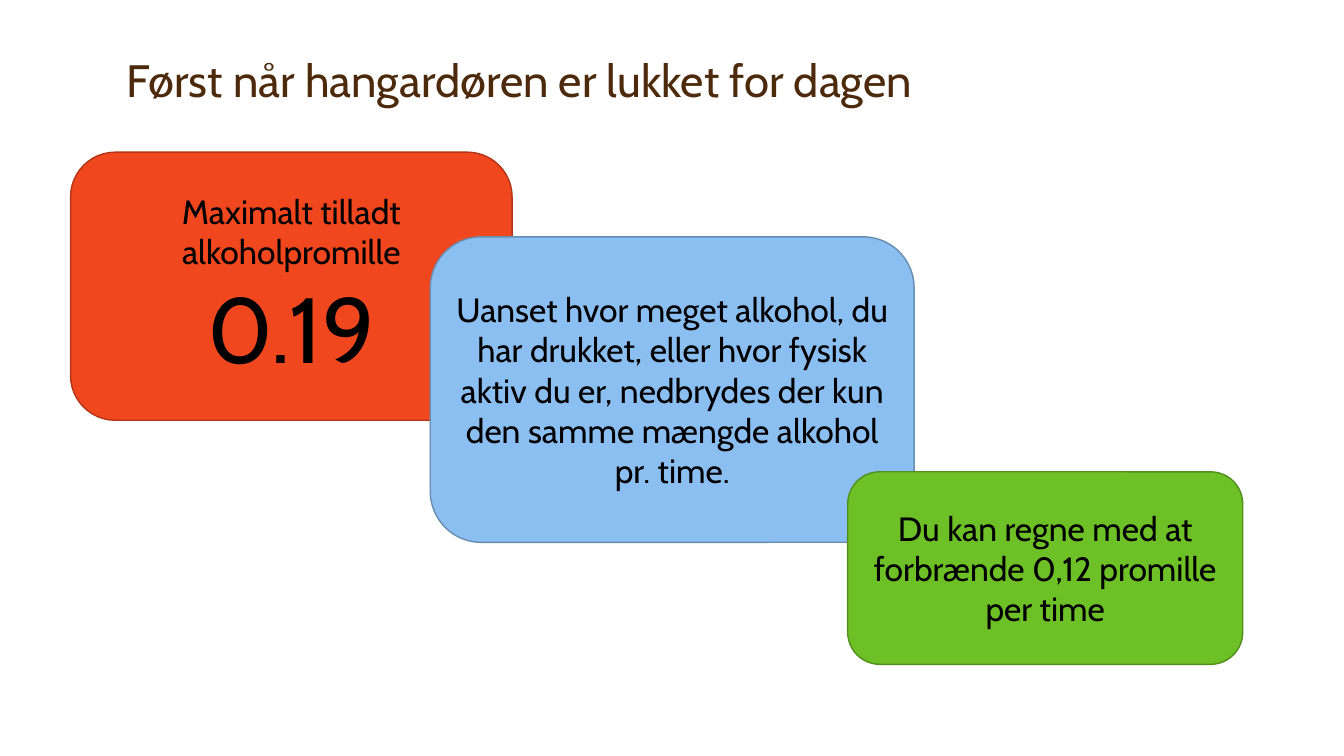
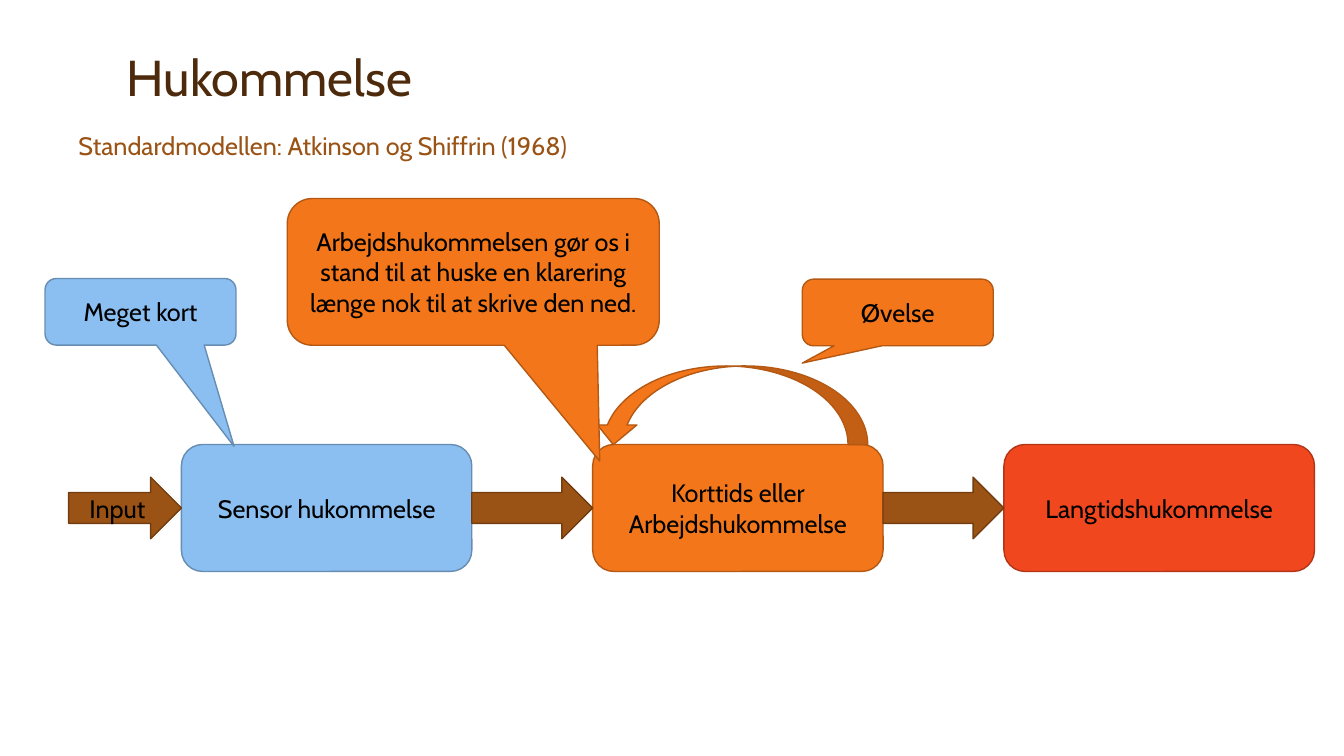
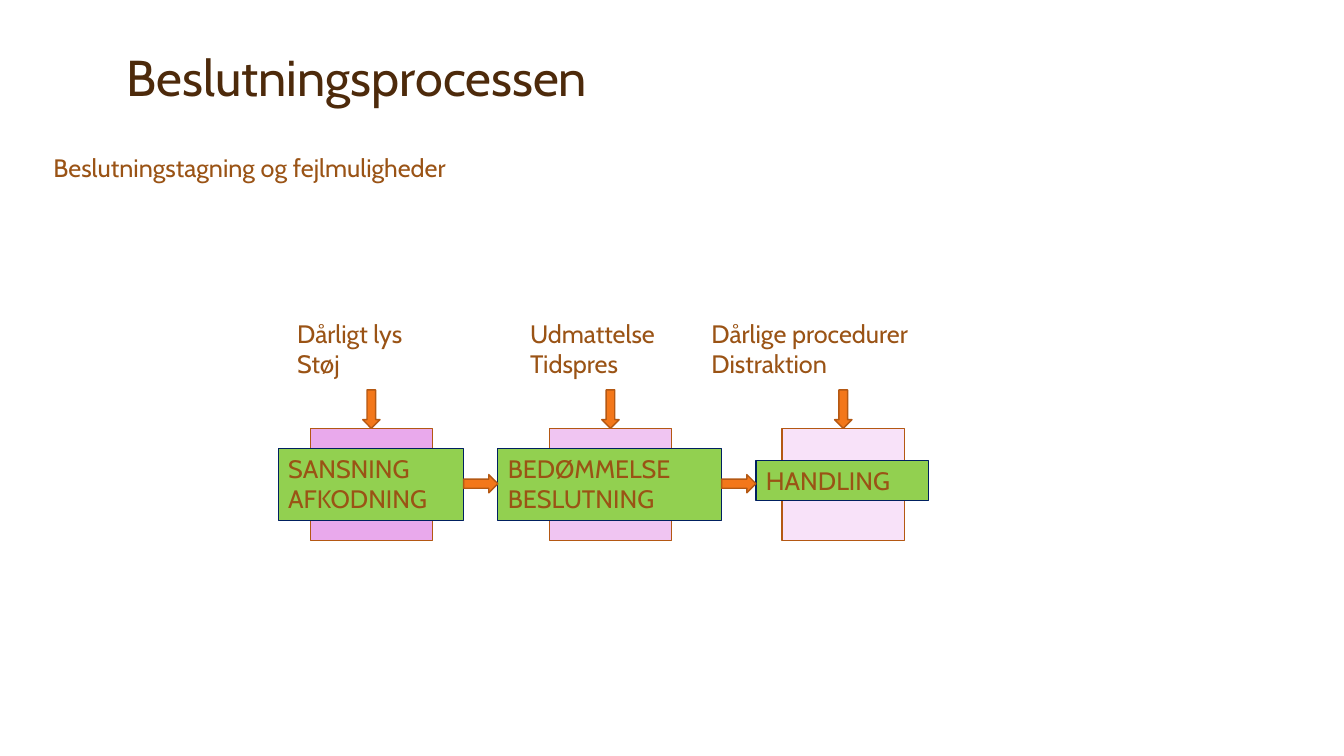
"""Build three slides on alcohol, memory and decision making."""
from itertools import pairwise

from pptx import Presentation
from pptx.dml.color import RGBColor
from pptx.enum.shapes import MSO_SHAPE
from pptx.enum.text import MSO_ANCHOR, PP_ALIGN
from pptx.util import Pt

FONT = "Cabin"
COLORS = {
    "title": "4D2A0B", "brown": "9A5315", "brown_line": "723D10",
    "red": "F1471F", "red_line": "B23517",
    "blue": "8BBEF1", "blue_line": "678DB2",
    "green": "6DC025", "green_line": "518E1B",
    "orange": "F3771A", "orange_line": "B45813",
    "lime": "92D050", "navy": "002060", "black": "000000",
    "pink_dark": "E9A9EC", "pink": "F0C5F2", "pink_light": "F8E2F9",
}

FACTS = [
    ("red", (50.4, 108.7, 315.4, 191.5),
     [("Maximalt tilladt alkoholpromille", 24), ("0.19", 66)]),
    ("blue", (307.4, 169.2, 345.6, 218.2),
     [("Uanset hvor meget alkohol, du har drukket, eller hvor fysisk aktiv du er, "
       "nedbrydes der kun den samme mængde alkohol pr. time.", 24)]),
    ("green", (605.5, 337, 282.2, 137.5),
     [("Du kan regne med at forbrænde 0,12 promille per time", 24)]),
]

STAGES = [
    ("Sensor hukommelse", "blue", 207.4),
    ("Korttids eller Arbejdshukommelse", "orange", 207.4),
    ("Langtidshukommelse", "red", 221.8),
]
STAGE_LEFT, STAGE_TOP, STAGE_HEIGHT, STAGE_PITCH = 129.6, 317.5, 90.7, 293.75
INPUT_LEFT, FLOW_HEIGHT = 49, 44
LOOP = (424, 261.4, 195.8, 56.2)
CALLOUTS = [
    ("Øvelse", "orange", (573.1, 199.4, 136.4, 47.6), (-0.5, 0.76, 0.17)),
    ("Meget kort", "blue", (32.2, 198.9, 136.4, 47.6), (0.49, 2.02, 0.17)),
    ("Arbejdshukommelsen gør os i stand til at huske en klarering længe nok "
     "til at skrive den ned.", "orange", (205.2, 141.8, 265.7, 104.8),
     (0.34, 1.29, 0.17)),
]

STEPS = [
    {"name": ["SANSNING", "AFKODNING"], "label": (198.7, 320.4, 132.5, 51.1),
     "block": 221.6, "fill": "pink_dark",
     "causes": ["Dårligt lys", "Støj"], "causes_at": (205.2, 118)},
    {"name": ["BEDØMMELSE", "BESLUTNING"], "label": (355.7, 320.4, 159.8, 51.1),
     "block": 392.4, "fill": "pink",
     "causes": ["Udmattelse", "Tidspres"], "causes_at": (371.5, 131)},
    {"name": ["HANDLING"], "label": (540, 329, 123.1, 28.8),
     "block": 558.7, "fill": "pink_light",
     "causes": ["Dårlige procedurer", "Distraktion"], "causes_at": (501.1, 201.6)},
]
BLOCK_TOP, BLOCK_WIDTH, BLOCK_HEIGHT = 306, 87.3, 80
CAUSES_TOP, CAUSES_HEIGHT = 223.9, 51.1
DOWN_WIDTH, DOWN_HEIGHT = 12.4, 27.5
NEXT_TOP, NEXT_HEIGHT = 339, 13


def rgb(name):
    """Return the named colour."""
    return RGBColor.from_string(COLORS[name])


def write(sp, lines, size=18, color="black", align=PP_ALIGN.CENTER,
          anchor=MSO_ANCHOR.MIDDLE, spacing=None):
    """Fill a shape with lines, each a string or a (string, size) pair."""
    tf = sp.text_frame
    tf.word_wrap = True
    tf.vertical_anchor = anchor
    for i, line in enumerate(lines):
        text, pts = (line, size) if isinstance(line, str) else line
        p = tf.add_paragraph() if i else tf.paragraphs[0]
        p.alignment = align
        if spacing:
            p.line_spacing = spacing
        r = p.add_run()
        r.text = text
        r.font.name = FONT
        r.font.size = Pt(pts)
        r.font.color.rgb = rgb(color)


def add_text(s, box, lines, size=18, color="brown", anchor=MSO_ANCHOR.TOP, spacing=None):
    """Add a left-aligned text box."""
    sp = s.shapes.add_textbox(*map(Pt, box))
    write(sp, lines, size=size, color=color, align=PP_ALIGN.LEFT,
          anchor=anchor, spacing=spacing)


def add_shape(s, kind, box, fill, line=None, width=1):
    """Add a filled shape whose outline is by default the fill's darker tone."""
    sp = s.shapes.add_shape(kind, *map(Pt, box))
    sp.shadow.inherit = False
    sp.fill.solid()
    sp.fill.fore_color.rgb = rgb(fill)
    sp.line.color.rgb = rgb(line or f"{fill}_line")
    sp.line.width = Pt(width)
    return sp


def add_slide(prs, title, size=36):
    """Add a blank slide with the shared title style."""
    s = prs.slides.add_slide(prs.slide_layouts[6])
    add_text(s, (83.5, 23.8, 792, 56.2), [title], size=size, color="title",
             anchor=MSO_ANCHOR.BOTTOM, spacing=0.9)
    return s


def build_alcohol(prs):
    """Show the three overlapping facts."""
    s = add_slide(prs, "Først når hangardøren er lukket for dagen", size=32.4)
    for fill, box, lines in FACTS:
        write(add_shape(s, MSO_SHAPE.ROUNDED_RECTANGLE, box, fill), lines)


def build_memory(prs):
    """Show the memory stages, the flow between them and the callouts."""
    s = add_slide(prs, "Hukommelse")
    add_text(s, (49, 89.3, 506.2, 28.8), ["Standardmodellen: Atkinson og Shiffrin (1968)"])
    flow_top = STAGE_TOP + (STAGE_HEIGHT - FLOW_HEIGHT) / 2
    flow_left = INPUT_LEFT
    for i, (text, fill, width) in enumerate(STAGES):
        left = STAGE_LEFT + i * STAGE_PITCH
        box = (left, STAGE_TOP, width, STAGE_HEIGHT)
        write(add_shape(s, MSO_SHAPE.ROUNDED_RECTANGLE, box, fill), [text])
        flow = add_shape(s, MSO_SHAPE.RIGHT_ARROW,
                         (flow_left, flow_top, left - flow_left, FLOW_HEIGHT), "brown")
        if i == 0:
            write(flow, ["Input"])
        flow_left = left + width
    add_shape(s, MSO_SHAPE.CURVED_UP_ARROW, LOOP, "orange").rotation = 180
    for text, fill, box, adjustments in CALLOUTS:
        sp = add_shape(s, MSO_SHAPE.ROUNDED_RECTANGULAR_CALLOUT, box, fill)
        for i, value in enumerate(adjustments):
            sp.adjustments[i] = value
        write(sp, [text])


def build_decision(prs):
    """Show the decision steps and what disturbs each of them."""
    s = add_slide(prs, "Beslutningsprocessen")
    add_text(s, (31, 105.1, 452.9, 28.8), ["Beslutningstagning og fejlmuligheder"])
    for step in STEPS:
        left = step["block"]
        add_shape(s, MSO_SHAPE.RECTANGLE, (left, BLOCK_TOP, BLOCK_WIDTH, BLOCK_HEIGHT),
                  step["fill"], line="orange_line")
        label = add_shape(s, MSO_SHAPE.RECTANGLE, step["label"], "lime",
                          line="navy", width=0.75)
        write(label, step["name"], color="brown", align=PP_ALIGN.LEFT,
              anchor=MSO_ANCHOR.TOP)
        causes_left, causes_width = step["causes_at"]
        add_text(s, (causes_left, CAUSES_TOP, causes_width, CAUSES_HEIGHT), step["causes"])
        add_shape(s, MSO_SHAPE.DOWN_ARROW,
                  (left + (BLOCK_WIDTH - DOWN_WIDTH) / 2, BLOCK_TOP - DOWN_HEIGHT,
                   DOWN_WIDTH, DOWN_HEIGHT), "orange")
    for step, following in pairwise(STEPS):
        start = step["label"][0] + step["label"][2]
        add_shape(s, MSO_SHAPE.RIGHT_ARROW,
                  (start, NEXT_TOP, following["label"][0] - start, NEXT_HEIGHT), "orange")


def main():
    """Build and save the presentation."""
    prs = Presentation()
    prs.slide_width, prs.slide_height = Pt(960), Pt(540)
    build_alcohol(prs)
    build_memory(prs)
    build_decision(prs)
    prs.save("out.pptx")


if __name__ == "__main__":
    main()
